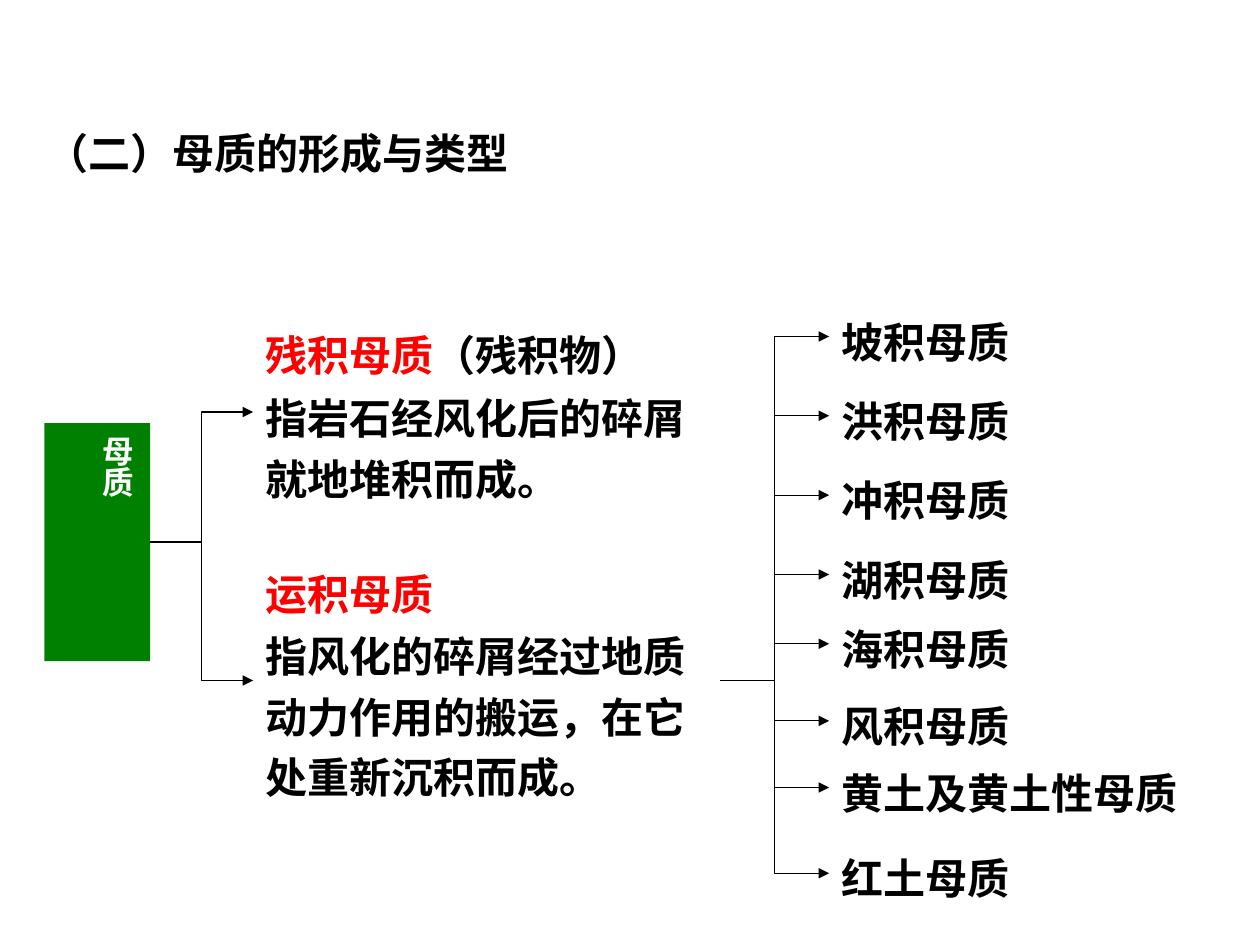
import pptx
import pptx.util
import pptx.dml.color
import pptx.enum.shapes
import pptx.enum.text
import pptx.oxml.ns
import pptx.oxml.xmlchemy
from dataclasses import dataclass

Pt = pptx.util.Pt
qn = pptx.oxml.ns.qn
MakeEl = pptx.oxml.xmlchemy.OxmlElement
LEFT, RIGHT = 1, 3


@dataclass(frozen=True)
class Theme:
    face: str = "Noto Sans CJK SC"
    ink: str = "000000"
    red: str = "FF0000"
    green: str = "008000"
    white: str = "FFFFFF"
    body: float = 24
    small: float = 18
    line: float = 0.75


THEME = Theme()

TYPES = [
    ("坡积母质", 171.4), ("洪积母质", 216.7), ("冲积母质", 262.1),
    ("湖积母质", 307.4), ("海积母质", 347), ("风积母质", 391),
    ("黄土及黄土性母质", 429.1), ("红土母质", 478.1),
]


def paint(hue):
    return pptx.dml.color.RGBColor.from_string(hue)


def add_run(para, text, hue, size):
    run = para.add_run()
    run.text = text
    run.font.color.rgb = paint(hue)
    for key, value in {"size": Pt(size), "bold": True, "name": THEME.face}.items():
        setattr(run.font, key, value)
    east = MakeEl("a:ea")
    east.set("typeface", THEME.face)
    run.font._element.append(east)


def write(shape, paras, size=THEME.body, space=1.2):
    """Fill a shape with paragraphs, each a list of (text, colour) runs."""
    frame = shape.text_frame
    look = {
        "word_wrap": True,
        "auto_size": pptx.enum.text.MSO_AUTO_SIZE.NONE,
        "vertical_anchor": pptx.enum.text.MSO_ANCHOR.TOP,
    }
    for key, value in look.items():
        setattr(frame, key, value)
    for num, runs in enumerate(paras):
        para = frame.add_paragraph() if num else frame.paragraphs[0]
        para.alignment = pptx.enum.text.PP_ALIGN.LEFT
        para.line_spacing = space
        para.space_before = Pt(size * 0.05 if num else 0)
        for text, hue in runs:
            add_run(para, text, hue, size)


def add_title(slide, text):
    title = slide.shapes.title
    place = {"left": 19.4, "top": 60.5, "width": 680.4, "height": 82}
    for key, value in place.items():
        setattr(title, key, Pt(value))
    write(title, [[(text, THEME.ink)]], space=1.3)


def add_text(slide, box, paras):
    shape = slide.shapes.add_textbox(*map(Pt, box))
    write(shape, paras)
    return shape


def add_root(slide, box, text):
    """Add the filled box with upright text that starts the tree."""
    kind = pptx.enum.shapes.MSO_SHAPE.RECTANGLE
    root = slide.shapes.add_shape(kind, *map(Pt, box))
    root.shadow.inherit = False
    root.fill.solid()
    root.fill.fore_color.rgb = paint(THEME.green)
    root.line.fill.background()
    write(root, [[(text, THEME.white)]], THEME.small)
    root.text_frame._txBody.find(qn("a:bodyPr")).set("vert", "eaVert")
    return root


def add_link(slide, start, end):
    """Join the right side of one shape to the left side of another."""
    kind = pptx.enum.shapes.MSO_CONNECTOR.ELBOW
    link = slide.shapes.add_connector(
        kind, start.left + start.width, start.top + start.height // 2,
        end.left, end.top + end.height // 2)
    link.begin_connect(start, RIGHT)
    link.end_connect(end, LEFT)
    link.line.width = Pt(THEME.line)
    link.line.color.rgb = paint(THEME.ink)
    tip = MakeEl("a:tailEnd")
    tip.set("type", "triangle")
    link.line._get_or_add_ln().append(tip)
    link._element.spPr.append(MakeEl("a:effectLst"))


def main():
    deck = pptx.Presentation()
    deck.slide_width, deck.slide_height = Pt(720), Pt(540)
    slide = deck.slides.add_slide(deck.slide_layouts[5])

    add_title(slide, "（二）母质的形成与类型")
    root = add_root(slide, (25.4, 241.8, 60.5, 136), "母质")
    stay = add_text(slide, (144.7, 179.3, 266.8, 112.3), [
        [("残积母质", THEME.red), ("（残积物）", THEME.ink)],
        [("指岩石经风化后的碎屑就地堆积而成。", THEME.ink)],
    ])
    moved = add_text(slide, (144.7, 315.4, 266.8, 146.9), [
        [("运积母质", THEME.red)],
        [("指风化的碎屑经过地质动力作用的搬运，在它处重新沉积而成。", THEME.ink)],
    ])
    for branch in (stay, moved):
        add_link(slide, root, branch)

    for name, top in TYPES:
        wide = THEME.body * len(name) + 51
        leaf = add_text(slide, (473.8, top, wide, 41.8), [[(name, THEME.ink)]])
        add_link(slide, moved, leaf)

    deck.save("out.pptx")


if __name__ == "__main__":
    main()
